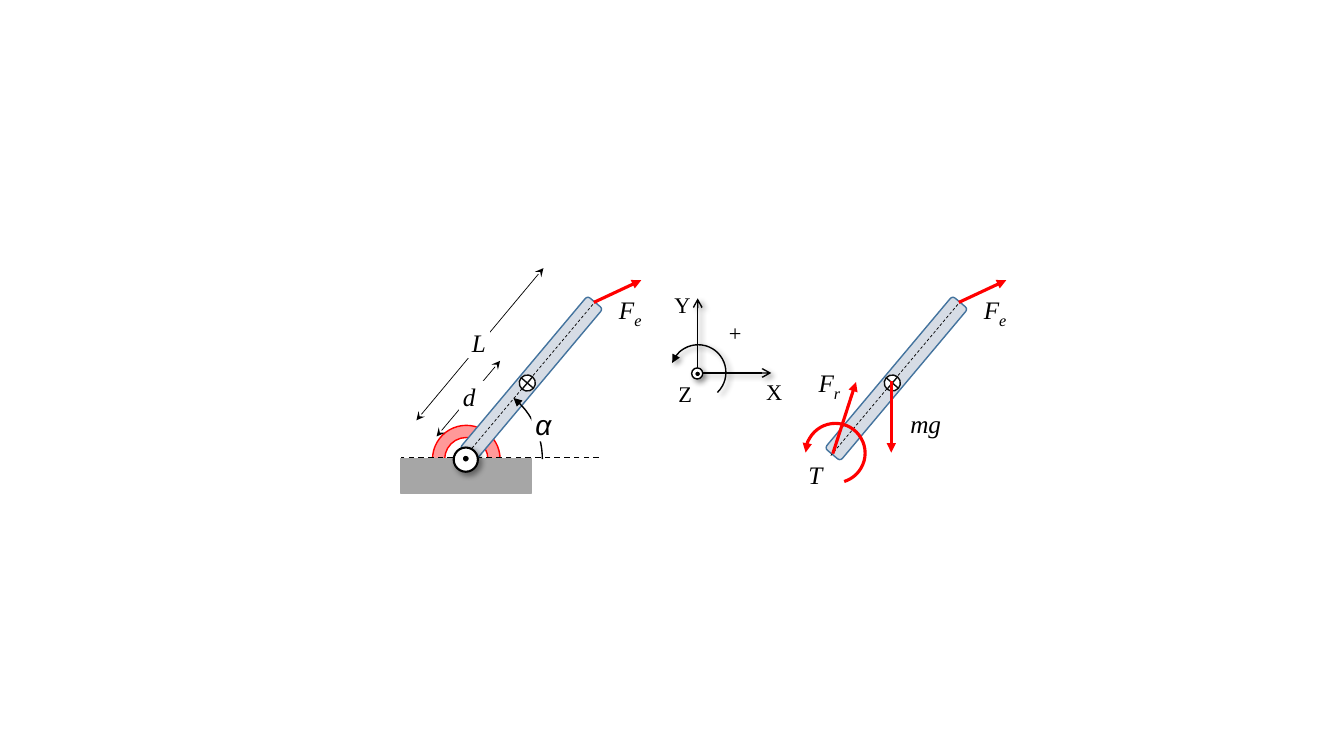
import pptx
import pptx.util
import pptx.dml.color
import pptx.enum.dml
import pptx.enum.shapes
import pptx.oxml
import pptx.oxml.ns
from pptx.oxml.xmlchemy import OxmlElement

Inches, Pt = pptx.util.Inches, pptx.util.Pt
MSO = pptx.enum.shapes.MSO_SHAPE
rgb = pptx.dml.color.RGBColor.from_string
SHADOW = (
    '<a:outerShdw xmlns:a="http://schemas.openxmlformats.org/drawingml/2006/main" '
    'blurRad="50800" dist="38100" dir="2700000" algn="tl" rotWithShape="0">'
    '<a:srgbClr val="000000"><a:alpha val="40000"/></a:srgbClr></a:outerShdw>'
)

prs = pptx.Presentation()
prs.slide_width, prs.slide_height = Inches(13.33), Inches(7.5)
sp = prs.slides.add_slide(prs.slide_layouts[6]).shapes


def draw(kind, box, color, width, fill=None, head=None, tail=None,
         dash=False, shadow=False, rotation=0, adj=()):
    box = [Inches(v) for v in box]
    if kind is None:
        s = sp.add_connector(pptx.enum.shapes.MSO_CONNECTOR.STRAIGHT, *box)
    else:
        s = sp.add_shape(kind, *box)
        s.rotation = rotation
        for i, value in enumerate(adj):
            s.adjustments[i] = value
        if fill:
            s.fill.solid()
            s.fill.fore_color.rgb = rgb(fill)
        else:
            s.fill.background()
    s.line.color.rgb = rgb(color)
    s.line.width = Pt(width)
    if dash:
        s.line.dash_style = pptx.enum.dml.MSO_LINE.DASH
    ln = s.line._get_or_add_ln()
    for tag, end in (("a:headEnd", head), ("a:tailEnd", tail)):
        if end:
            e = OxmlElement(tag)
            e.set("type", end)
            ln.append(e)
    effects = OxmlElement("a:effectLst")
    if shadow:
        effects.append(pptx.oxml.parse_xml(SHADOW))
    s._element.spPr.append(effects)
    return s


def label(box, text, sub="", size=18, italic=True, font="Times New Roman", plate=False):
    s = sp.add_textbox(*[Inches(v) for v in box])
    tf = s.text_frame
    tf.word_wrap = False
    if plate:
        s.fill.solid()
        s.fill.fore_color.rgb = rgb("FFFFFF")
        tf.margin_left = tf.margin_right = Inches(0.04)
        tf.margin_top = tf.margin_bottom = 0
    p = tf.paragraphs[0]
    p.text = text
    if sub:
        r = p.add_run()
        r.text = sub
        r.font._element.set("baseline", "-25000")
    for r in p.runs:
        r.font.name = font
        r.font.size = Pt(size)
        r.font.italic = italic
        r.font.color.rgb = rgb("000000")
    if sub:
        r.font.size = Pt(20)


spring = draw(MSO.DONUT, (4.29, 4.22, 0.67, 0.67), "FF0000", 1, "FF0000", adj=[0.18])
alpha = OxmlElement("a:alpha")
alpha.set("val", "40000")
spring._element.spPr.find(pptx.oxml.ns.qn("a:solidFill"))[0].append(alpha)
draw(MSO.RECTANGLE, (3.97, 4.55, 1.3, 0.34), "A6A6A6", 1, "A6A6A6")

for ends in ((5.39, 2.66, 4.13, 4.17), (4.96, 3.58, 4.33, 4.33)):
    draw(None, ends, "000000", 0.5, head="stealth", tail="stealth")
label((4.55, 3.78, 0.25, 0.3), "d", plate=True)
label((4.64, 3.25, 0.22, 0.3), "L", plate=True)
draw(None, (5.94, 4.54, 3.98, 4.54), "000000", 1, dash=True)

for dx in (0, 3.62):
    draw(MSO.ROUNDED_RECTANGLE, (5.17 + dx, 2.77, 0.2, 1.97), "43739E", 1, "D6DCE5", rotation=40)
    draw(None, (5.88 + dx, 3.02, 4.62 + dx, 4.52), "000000", 0.5, dash=True)
    draw(MSO.FLOWCHART_OR, (5.15 + dx, 3.72, 0.16, 0.16), "0D0D0D", 1, "FFFFFF", rotation=40.4)
    draw(None, (5.89 + dx, 3, 6.36 + dx, 2.78), "FF0000", 2.25, tail="triangle")
    label((6.04 + dx, 2.84, 0.44, 0.4), "F", "e")

draw(MSO.OVAL, (4.5, 4.44, 0.24, 0.24), "000000", 1.5, "FFFFFF", shadow=True)
draw(MSO.OVAL, (4.58, 4.51, 0.08, 0.08), "FFFFFF", 1.5, "000000")
draw(MSO.ARC, (3.81, 3.77, 1.57, 1.57), "000000", 1, head="triangle", adj=[185.66, 0])
label((5.27, 4.04, 0.36, 0.34), "α", size=20, font="Arial", plate=True)

for ends in ((8.26, 4.5, 8.49, 3.79), (8.84, 3.78, 8.84, 4.49)):
    draw(None, ends, "FF0000", 2.25, tail="triangle")
draw(MSO.ARC, (7.99, 4.2, 0.59, 0.59), "FF0000", 2.25, head="triangle", adj=[108.61, 43.7])
label((7.92, 4.51, 0.34, 0.4), "T")
label((8.02, 3.57, 0.43, 0.4), "F", "r")
label((8.93, 4, 0.51, 0.4), "mg")

sp = sp.add_group_shape().shapes
for tip in ((7.65, 3.7), (6.92, 2.96)):
    draw(None, (6.92, 3.7, *tip), "000000", 1, tail="arrow", shadow=True)
draw(MSO.OVAL, (6.86, 3.65, 0.11, 0.11), "000000", 1, "FFFFFF", shadow=True)
draw(MSO.OVAL, (6.89, 3.68, 0.06, 0.06), "FFFFFF", 1, "000000")
draw(MSO.ARC, (6.65, 3.42, 0.55, 0.55), "000000", 1, head="triangle", shadow=True, adj=[120.06, 27.71])
for text, x, y in (("Y", 6.59, 2.84), ("X", 7.5, 3.7), ("Z", 6.63, 3.72), ("+", 7.13, 3.12)):
    label((x, y, 0.35, 0.37), text, size=16, italic=False)

prs.save("out.pptx")
